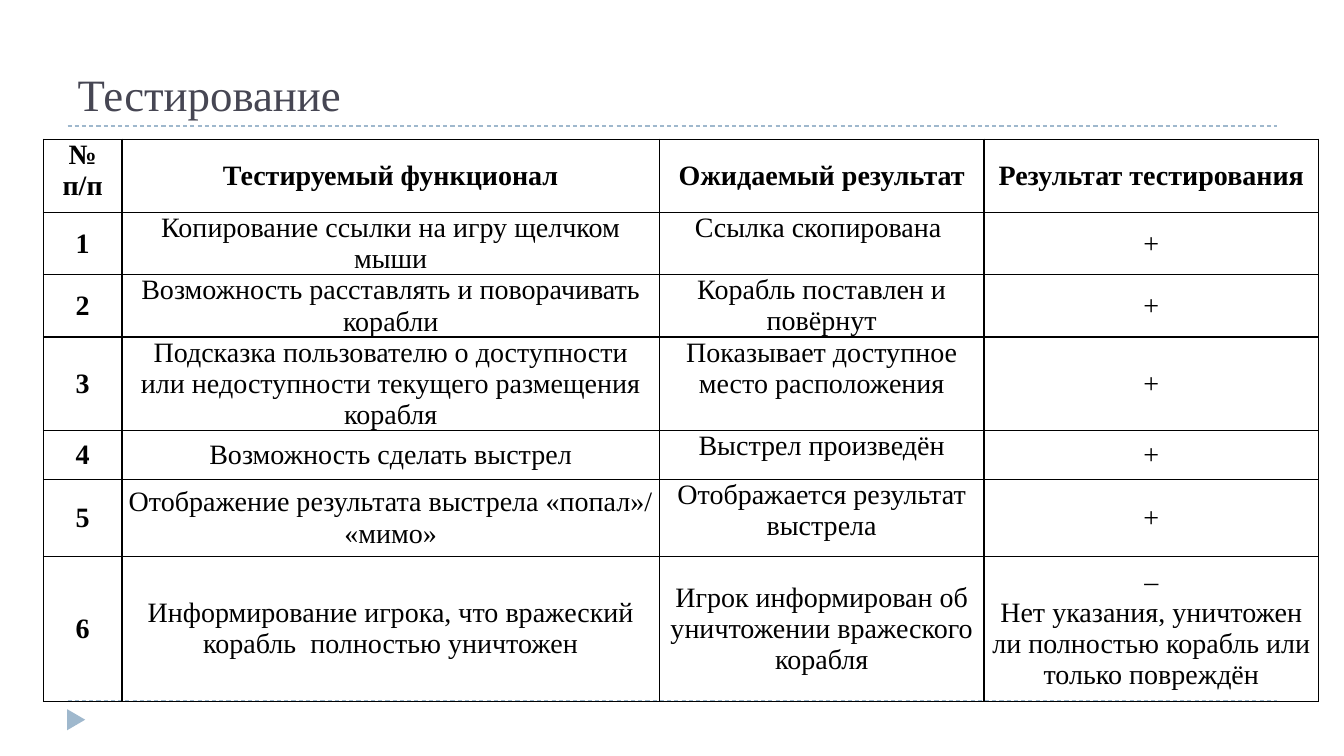
from lxml import etree
from pptx import Presentation
from pptx.dml.color import RGBColor
from pptx.enum.dml import MSO_LINE
from pptx.enum.shapes import MSO_CONNECTOR, MSO_SHAPE
from pptx.enum.text import MSO_ANCHOR, PP_ALIGN
from pptx.oxml import parse_xml
from pptx.oxml.ns import nsdecls, qn
from pptx.util import Inches, Pt

STRAIGHT = MSO_CONNECTOR.STRAIGHT
TRIANGLE = MSO_SHAPE.ISOSCELES_TRIANGLE
DASH = MSO_LINE.DASH
TOP, MIDDLE, BOTTOM = MSO_ANCHOR.TOP, MSO_ANCHOR.MIDDLE, MSO_ANCHOR.BOTTOM
LEFT, CENTER = PP_ALIGN.LEFT, PP_ALIGN.CENTER

COLORS = {"title": "464653", "accent": "9FB8CD", "text": "000000", "border": "000000"}
FONT = "Times New Roman"
COLUMN_WIDTHS = [0.78, 5.33, 3.22, 3.32]
ROW_HEIGHTS = [0.73, 0.56, 0.56, 0.83, 0.49, 0.76, 1.44]
HEADERS = ["№ п/п", "Тестируемый функционал", "Ожидаемый результат", "Результат тестирования"]
TESTS = [
    ("Копирование ссылки на игру щелчком мыши", "Ссылка скопирована ", "+"),
    ("Возможность расставлять и поворачивать корабли", "Корабль поставлен и повёрнут", "+"),
    ("Подсказка пользователю о доступности или недоступности текущего размещения корабля",
     "Показывает доступное место расположения", "+"),
    ("Возможность сделать выстрел", "Выстрел произведён", "+"),
    ("Отображение результата выстрела «попал»/ «мимо»", "Отображается результат выстрела", "+"),
    ("Информирование игрока, что вражеский корабль  полностью уничтожен",
     "Игрок информирован об уничтожении вражеского корабля",
     "–\nНет указания, уничтожен ли полностью корабль или только повреждён"),
]


class SlideBuilder:
    def __init__(self, slide):
        self.slide = slide

    def color(self, name):
        return RGBColor.from_string(COLORS[name])

    def format_text(self, text_frame, size, color, alignment, bold=False):
        for paragraph in text_frame.paragraphs:
            paragraph.alignment = alignment
            for run in paragraph.runs:
                run.font.name = FONT
                run.font.size = Pt(size)
                run.font.bold = bold
                run.font.color.rgb = self.color(color)

    def title(self, text, left, top, width, height):
        shape = self.slide.shapes.title
        shape.left, shape.top = Inches(left), Inches(top)
        shape.width, shape.height = Inches(width), Inches(height)
        shape.text_frame.text = text
        shape.text_frame.vertical_anchor = BOTTOM
        self.format_text(shape.text_frame, 32, "title", LEFT)

    def dashed_line(self, left, right, y):
        connector = self.slide.shapes.add_connector(
            STRAIGHT, Inches(left), Inches(y), Inches(right), Inches(y))
        connector.line.color.rgb = self.color("accent")
        connector.line.width = Pt(0.75)
        connector.line.dash_style = DASH
        etree.SubElement(connector._element.spPr, qn("a:effectLst"))

    def marker(self, left, top, width, height):
        shape = self.slide.shapes.add_shape(
            TRIANGLE, Inches(left), Inches(top), Inches(width), Inches(height))
        shape.rotation = 90
        shape.shadow.inherit = False
        shape.fill.solid()
        shape.fill.fore_color.rgb = self.color("accent")
        shape.line.fill.background()

    def cell_borders(self, cell):
        properties = cell._tc.get_or_add_tcPr()
        for position, side in enumerate(("lnL", "lnR", "lnT", "lnB")):
            properties.insert(position, parse_xml(
                f'<a:{side} {nsdecls("a")} w="12700"><a:solidFill>'
                f'<a:srgbClr val="{COLORS["border"]}"/></a:solidFill></a:{side}>'))

    def cell(self, cell, text, bold, anchor):
        cell.text_frame.text = text
        cell.vertical_anchor = anchor
        cell.margin_left = cell.margin_right = Inches(0.06)
        cell.margin_top = cell.margin_bottom = 0
        cell.fill.background()
        self.cell_borders(cell)
        self.format_text(cell.text_frame, 20, "text", CENTER, bold)

    def table(self, rows, left, top):
        frame = self.slide.shapes.add_table(
            len(rows), len(COLUMN_WIDTHS), Inches(left), Inches(top),
            Inches(sum(COLUMN_WIDTHS)), Inches(sum(ROW_HEIGHTS)))
        table = frame.table
        table.horz_banding = False
        for column, width in zip(table.columns, COLUMN_WIDTHS):
            column.width = Inches(width)
        for row, height in zip(table.rows, ROW_HEIGHTS):
            row.height = Inches(height)
        last_row = len(rows) - 1
        for row_index, texts in enumerate(rows):
            for column_index, text in enumerate(texts):
                bold = row_index == 0 or column_index == 0
                at_top = (row_index == column_index == 0
                          or column_index == 2 and 0 < row_index < last_row)
                self.cell(table.cell(row_index, column_index), text, bold,
                          TOP if at_top else MIDDLE)


def main():
    presentation = Presentation()
    presentation.slide_width = Inches(13.33)
    presentation.slide_height = Inches(7.5)
    builder = SlideBuilder(presentation.slides.add_slide(presentation.slide_layouts[5]))
    for y in (6.95, 1.25):
        builder.dashed_line(0.67, 12.67, y)
    builder.marker(0.65, 7.05, 0.21, 0.18)
    builder.title("Тестирование", 0.67, 0.17, 12, 1.08)
    rows = [HEADERS] + [(str(number), *test) for number, test in enumerate(TESTS, 1)]
    builder.table(rows, 0.43, 1.38)
    presentation.save("out.pptx")


if __name__ == "__main__":
    main()
